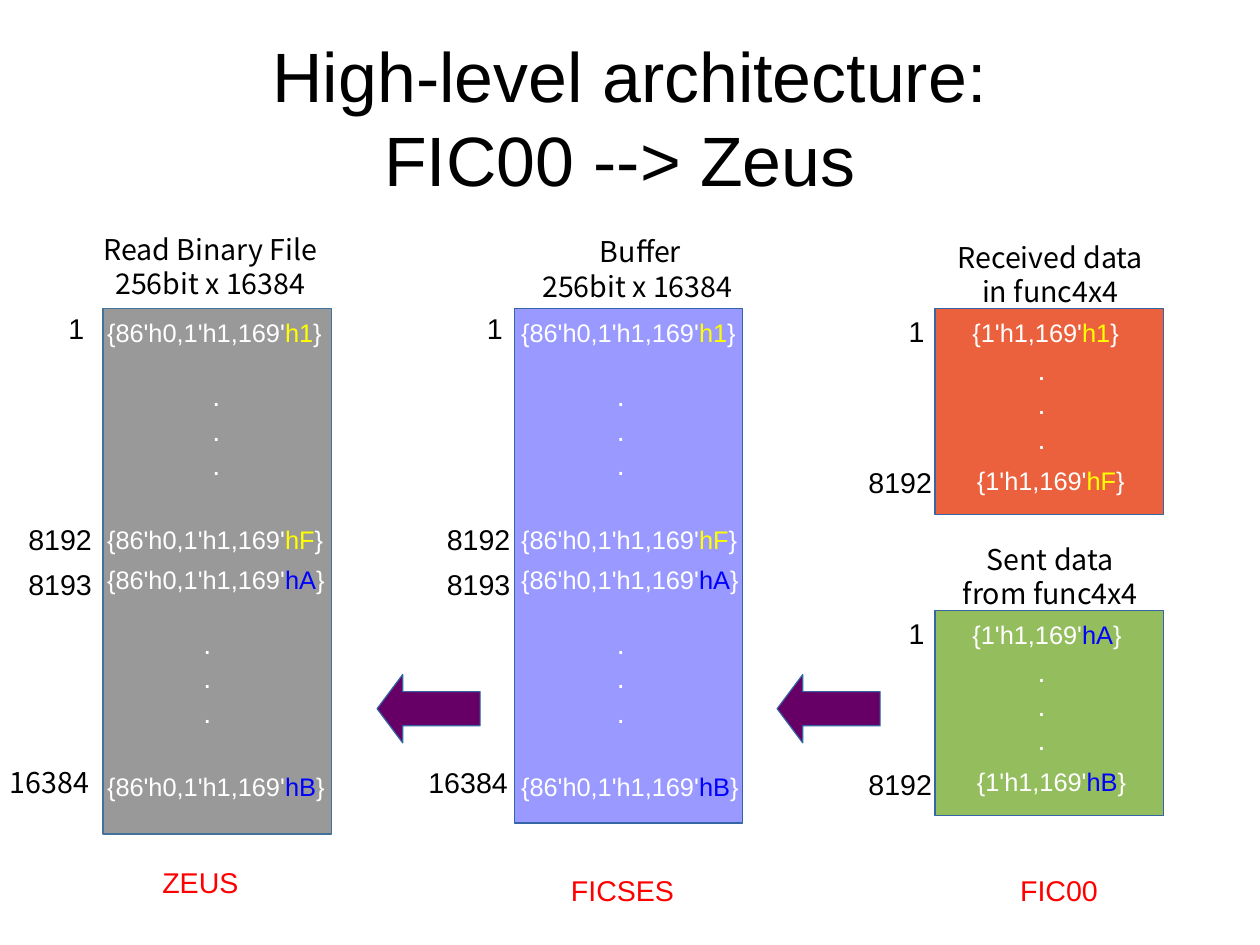
from dataclasses import dataclass

from pptx import Presentation
from pptx.dml.color import RGBColor
from pptx.enum.shapes import MSO_SHAPE as Preset
from pptx.enum.text import MSO_ANCHOR as Anchor, MSO_AUTO_SIZE as AutoSize, PP_ALIGN as Align
from pptx.slide import Slide
from pptx.util import Cm, Pt

COLOURS = {
    "black": "000000", "white": "FFFFFF", "red": "FF0000",
    "yellow": "FFFF00", "blue": "0000FF", "purple": "660066",
    "grey": "999999", "lavender": "9999FF", "orange": "EB613D",
    "green": "94BD5E", "edge": "3465A4", "zeus edge": "43729D",
}
SANS, NOTO = "Arial", "Noto Sans CJK JP"
VALUE_COLOURS = {"h1": "yellow", "hF": "yellow", "hA": "blue", "hB": "blue"}
INDEX_SHIFT = {1: 0.89, 4: 0, 5: -0.41}
INDEX_WIDTH = {1: 0.86, 4: 2.03, 5: 2.54}
STORE_WIDTH = 5.08


@dataclass(frozen=True)
class Piece:
    text: str
    colour: str = "black"
    size: int = 18
    font: str = SANS


@dataclass(frozen=True)
class Row:
    index: str
    index_offset: float
    entry_offset: float
    value: str
    entry_shift: float = 0


@dataclass(frozen=True)
class Dots:
    left: float
    offset: float


@dataclass(frozen=True)
class Store:
    left: float
    top: float
    height: float
    fill: str
    heading: tuple[str, str]
    heading_left: float
    heading_offset: float
    heading_width: float
    index_left: float
    entry_left: float
    prefix: str
    rows: tuple[Row, ...]
    dots: tuple[Dots, ...]
    edge: str = "edge"
    edge_width: int = 0
    last_index_font: str = SANS


@dataclass(frozen=True)
class Caption:
    text: str
    left: float
    top: float


LONG_PREFIX, SHORT_PREFIX = "{86'h0,1'h1,169'", "{1'h1,169'"
ENTRY_WIDTH = {LONG_PREFIX: 5.4, SHORT_PREFIX: 3.9}
LONG_ROWS = (
    Row("1", -0.08, 0.06, "h1"),
    Row("8192", 4.62, 4.66, "hF"),
    Row("8193", 5.61, 5.56, "hA"),
    Row("16384", 10.01, 10.16, "hB"),
)


def short_store(top: float, fill: str, heading: tuple[str, str], first: str, last: str) -> Store:
    """Describe one of the two half-length stores of FIC00."""
    rows = (Row("1", 0, 0.07, first), Row("8192", 3.35, 3.35, last, 0.1))
    return Store(20.78, top, 4.57, fill, heading, 20.57, -1.65, 5.54, 19.05,
                 21.36, SHORT_PREFIX, rows, (Dots(22.81, 0.84),))


STORES = (
    Store(2.29, 6.86, 11.68, "grey", ("Read Binary File", "256bit x 16384"),
          1.83, -1.83, 5.69, 0.38, 2.13, LONG_PREFIX, LONG_ROWS,
          (Dots(4.47, 1.42), Dots(4.27, 6.93)), "zeus edge", 1, NOTO),
    Store(11.43, 6.86, 11.43, "lavender", ("Buffer", "256bit x 16384 "),
          10.41, -1.78, 7.65, 9.68, 11.33, LONG_PREFIX, LONG_ROWS,
          (Dots(13.46, 1.42), Dots(13.46, 6.93))),
    short_store(6.86, "orange", ("Received data", "in func4x4"), "h1", "hF"),
    short_store(13.56, "green", ("Sent data", "from func4x4"), "hA", "hB"),
)
CAPTIONS = (
    Caption("ZEUS", 1.52, 19.1),
    Caption("FICSES", 10.9, 19.28),
    Caption("FIC00", 20.6, 19.28),
)
ARROW_LEFTS = (8.38, 17.27)


def colour(name: str) -> RGBColor:
    """Look up a colour by name."""
    return RGBColor.from_string(COLOURS[name])


def add_piece(paragraph, piece: Piece) -> None:
    """Append one formatted run to a paragraph."""
    run = paragraph.add_run()
    run.text = piece.text
    run.font.name = piece.font
    run.font.size = Pt(piece.size)
    run.font.color.rgb = colour(piece.colour)


def add_text(slide: Slide, left: float, top: float, width: float, height: float,
             lines: list[list[Piece]], align: Align = Align.LEFT, wrap: bool = True) -> None:
    """Place a text box with one paragraph per line."""
    frame = slide.shapes.add_textbox(Cm(left), Cm(top), Cm(width), Cm(height)).text_frame
    frame.word_wrap = wrap
    frame.auto_size = AutoSize.SHAPE_TO_FIT_TEXT
    for number, line in enumerate(lines):
        paragraph = frame.add_paragraph() if number else frame.paragraphs[0]
        paragraph.alignment = align
        for piece in line:
            add_piece(paragraph, piece)


def add_preset(slide: Slide, preset: Preset, left: float, top: float, width: float,
               height: float, fill: str, edge: str = "edge", edge_width: int = 0):
    """Place a filled and outlined preset shape."""
    shape = slide.shapes.add_shape(preset, Cm(left), Cm(top), Cm(width), Cm(height))
    shape.shadow.inherit = False
    shape.fill.solid()
    shape.fill.fore_color.rgb = colour(fill)
    shape.line.color.rgb = colour(edge)
    shape.line.width = Pt(edge_width)
    return shape


def add_row(slide: Slide, store: Store, row: Row) -> None:
    """Write the index beside a store and the entry inside it."""
    digits = len(row.index)
    font = store.last_index_font if row is store.rows[-1] else SANS
    add_text(slide, store.index_left + INDEX_SHIFT[digits], store.top + row.index_offset,
             INDEX_WIDTH[digits], 0.97, [[Piece(row.index, font=font)]])
    entry = [Piece(store.prefix, "white", 16),
             Piece(row.value, VALUE_COLOURS[row.value], 16),
             Piece("}", "white", 16)]
    add_text(slide, store.entry_left + row.entry_shift, store.top + row.entry_offset,
             ENTRY_WIDTH[store.prefix], 0.89, [entry], wrap=False)


def add_store(slide: Slide, store: Store) -> None:
    """Draw a store with its heading, rows and dots."""
    add_preset(slide, Preset.RECTANGLE, store.left, store.top, STORE_WIDTH, store.height,
               store.fill, store.edge, store.edge_width)
    add_text(slide, store.heading_left, store.top + store.heading_offset, store.heading_width,
             1.98, [[Piece(line, font=NOTO)] for line in store.heading], Align.CENTER)
    for row in store.rows:
        add_row(slide, store, row)
    for dots in store.dots:
        add_text(slide, dots.left, store.top + dots.offset, 0.69, 2.39,
                 [[Piece(".", "white")]] * 3, wrap=False)


def add_title(slide: Slide) -> None:
    """Fill and place the title placeholder."""
    title = slide.shapes.title
    title.left, title.top, title.width, title.height = Cm(1.4), Cm(0.84), Cm(25.2), Cm(3.51)
    frame = title.text_frame
    frame.auto_size = AutoSize.NONE
    frame.vertical_anchor = Anchor.MIDDLE
    frame.margin_left = frame.margin_right = frame.margin_top = frame.margin_bottom = 0
    paragraph = frame.paragraphs[0]
    paragraph.alignment = Align.CENTER
    add_piece(paragraph, Piece("High-level architecture:", size=44))
    paragraph.add_line_break()
    add_piece(paragraph, Piece("FIC00 --> Zeus ", size=44))


def main() -> None:
    """Build the architecture slide."""
    presentation = Presentation()
    presentation.slide_width, presentation.slide_height = Cm(28), Cm(21)
    slide = presentation.slides.add_slide(presentation.slide_layouts[5])
    add_title(slide)
    for store in STORES:
        add_store(slide, store)
    for caption in CAPTIONS:
        add_text(slide, caption.left, caption.top, 5.87, 0.97,
                 [[Piece(caption.text, "red")]], Align.CENTER)
    for left in ARROW_LEFTS:
        arrow = add_preset(slide, Preset.LEFT_ARROW, left, 14.99, 2.29, 1.52, "purple")
        arrow.adjustments[0], arrow.adjustments[1] = 0.5, 0.375
    presentation.save("out.pptx")


if __name__ == "__main__":
    main()
